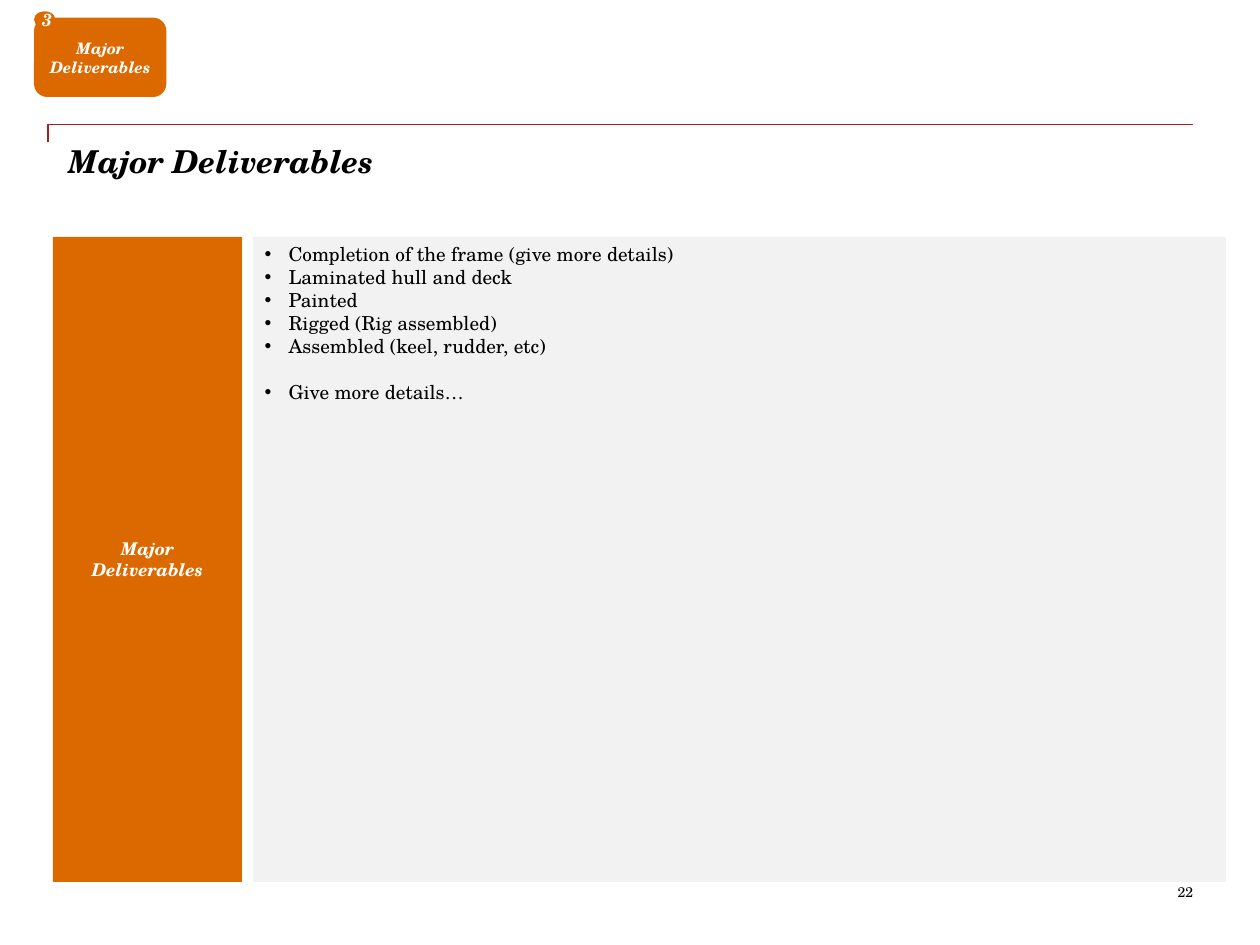
from lxml import etree
from pptx import Presentation
from pptx.dml.color import RGBColor
from pptx.enum.shapes import MSO_CONNECTOR as CONN, MSO_SHAPE as SHAPE
from pptx.enum.text import MSO_ANCHOR as ANCHOR, PP_ALIGN as ALIGN
from pptx.oxml.ns import qn
from pptx.util import Inches, Pt

COLORS = {"orange": "DC6900", "panel": "F2F2F2", "rule": "A32020",
          "dark": "000000", "light": "FFFFFF"}
FONT = "TeX Gyre Schola"
COLS, ROWS = 100, 75  # square grid over the slide
UNIT = Inches(10) // COLS
LABEL = dict(color="light", bold=True, italic=True,
             align=ALIGN.CENTER, anchor=ANCHOR.MIDDLE, inset=(0.8, 0.4))
DELIVERABLES = ["Completion of the frame (give more details)",
                "Laminated hull and deck", "Painted", "Rigged (Rig assembled)",
                "Assembled (keel, rudder, etc)"]
CLOSING = "Give more details…"


def grid(*values):
    return [round(v * UNIT) for v in values]


def rgb(name):
    return RGBColor.from_string(COLORS[name])


def write(s, lines, size=10, color="dark", bold=False, italic=False,
          align=ALIGN.LEFT, anchor=ANCHOR.TOP, inset=(0, 0), wrap=True, bullet=None):
    """Fill a shape with one paragraph per line and return the paragraphs."""
    tf = s.text_frame
    tf.word_wrap, tf.vertical_anchor = wrap, anchor
    tf.margin_left = tf.margin_right = grid(inset[0])[0]
    tf.margin_top = tf.margin_bottom = grid(inset[1])[0]
    for i, line in enumerate(lines):
        p = tf.add_paragraph() if i else tf.paragraphs[0]
        p.alignment = align
        r = p.add_run()
        r.text = line
        f = r.font
        f.name, f.size, f.bold, f.italic = FONT, Pt(size), bold, italic
        f.color.rgb = rgb(color)
        if bullet:
            pPr = p._p.get_or_add_pPr()
            indent = grid(1.9)[0]
            pPr.set("marL", str(indent))
            pPr.set("indent", str(-indent))
            etree.SubElement(pPr, qn("a:buFont")).set("typeface", "Arial")
            etree.SubElement(pPr, qn("a:buChar")).set("char", bullet)
    return tf.paragraphs


def add_block(slide, kind, box, fill):
    s = slide.shapes.add_shape(kind, *grid(*box))
    s.shadow.inherit = False
    s.fill.solid()
    s.fill.fore_color.rgb = rgb(fill)
    s.line.fill.background()
    return s


def add_header(slide, x, y, w, h):
    # Red rule with a short drop at its left end
    drop = 1.4
    c = slide.shapes.add_connector(CONN.ELBOW, *grid(x, y + drop, x + w, y))
    c.line.color.rgb = rgb("rule")
    c.line.width = Pt(0.75)
    etree.SubElement(c._element.spPr, qn("a:effectLst"))
    bend = c._element.spPr.find(qn("a:prstGeom")).get_or_add_avLst()
    guide = etree.SubElement(bend, qn("a:gd"))
    guide.set("name", "adj1")
    guide.set("fmla", "val 0")
    # Title
    title = slide.shapes.add_textbox(*grid(x + 1.6, y + drop, w - 1.4, h - drop))
    write(title, ["Major Deliverables"], size=18, bold=True, italic=True)


def add_deliverables(slide, x, y, w, h):
    label_w, gap = 15, 0.9
    # Label column
    label = add_block(slide, SHAPE.RECTANGLE, (x, y, label_w, h), "orange")
    write(label, ["Major", "Deliverables"], **LABEL)
    # Bullet panel, with one line of space above the closing item
    left = label_w + gap
    panel = add_block(slide, SHAPE.RECTANGLE, (x + left, y, w - left, h), "panel")
    items = write(panel, DELIVERABLES + [CLOSING], size=11, inset=(0.9, 0.4), bullet="•")
    items[-1].space_before = Pt(13.2)


def add_section_tag(slide, x, y, w, h):
    tag = add_block(slide, SHAPE.ROUNDED_RECTANGLE, (x, y, w, h), "orange")
    write(tag, ["Major Deliverables"], size=9, **LABEL)
    # Number badge on the top left corner
    badge = add_block(slide, SHAPE.OVAL, (x, y - 0.5, 1.7, 1.3), "orange")
    write(badge, ["3"], **LABEL)


def add_page_number(slide, x, y, w, h):
    number = slide.shapes.add_textbox(*grid(x, y, w, h))
    write(number, ["22"], size=8, align=ALIGN.RIGHT, wrap=False)


def main():
    prs = Presentation()
    prs.slide_width, prs.slide_height = grid(COLS, ROWS)
    slide = prs.slides.add_slide(prs.slide_layouts[6])
    add_header(slide, 3.8, 9.9, 90.9, 10.2)
    add_deliverables(slide, 4.2, 18.8, 93.1, 51.2)
    add_section_tag(slide, 2.7, 1.4, 10.5, 6.3)
    add_page_number(slide, 93.4, 70.1, 1.3, 1.3)
    prs.save("out.pptx")


if __name__ == "__main__":
    main()
